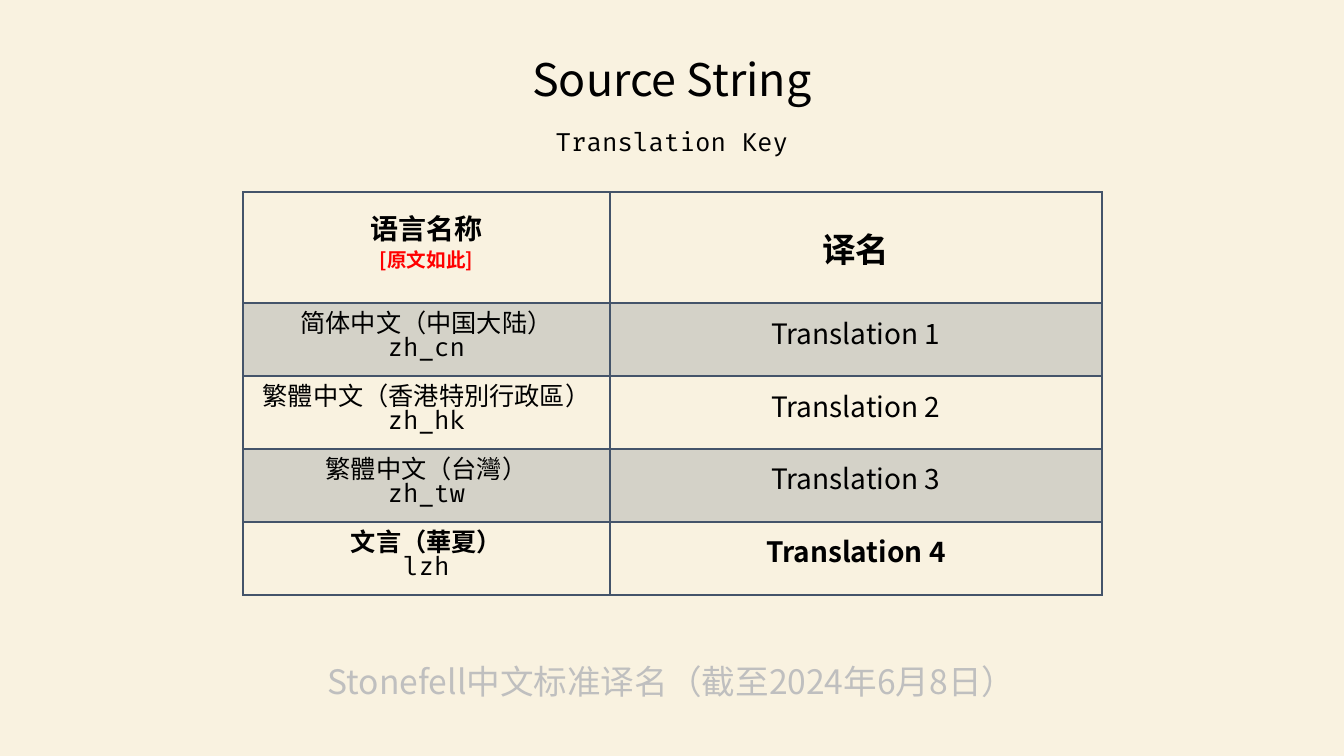
from dataclasses import dataclass

from pptx import Presentation
from pptx.dml.color import RGBColor
from pptx.enum.text import MSO_ANCHOR, MSO_AUTO_SIZE, PP_ALIGN
from pptx.oxml.ns import qn
from pptx.util import Emu, Pt
from lxml.etree import SubElement

EMU_PER_PX = 914400 / 100.8
SANS = "Noto Sans CJK SC"
SANS_JP = "Noto Sans CJK JP"
MONO = "Fira Code"
COLORS = {
    "background": "F9F2E0",
    "text": "000000",
    "note": "FF0000",
    "footer": "BFBFBF",
    "slate": "44546A",
}
COLUMN_WIDTHS = [367, 492]
HEADER_HEIGHT = 111
ROW_HEIGHT = 73


@dataclass
class Line:
    text: str
    size: int
    font: str = SANS
    color: str = "text"
    bold: bool = False
    spacing: int | None = 18


@dataclass
class Box:
    left: int
    top: int
    width: int
    height: int


@dataclass
class Language:
    name: str
    code: str
    translation: str
    bold: bool = False
    font: str = SANS


LANGUAGES = [
    Language("简体中文（中国大陆）", "zh_cn", "Translation 1"),
    Language("繁體中文（香港特別行政區）", "zh_hk", "Translation 2"),
    Language("繁體中文（台灣）", "zh_tw", "Translation 3"),
    Language("文言（華夏）", "lzh", "Translation 4", True, SANS_JP),
]


def px(value: int) -> Emu:
    return Emu(round(value * EMU_PER_PX))


def rgb(name: str) -> RGBColor:
    return RGBColor.from_string(COLORS[name])


def write(tf, lines: list[Line]) -> None:
    for i, line in enumerate(lines):
        p = tf.add_paragraph() if i else tf.paragraphs[0]
        p.alignment = PP_ALIGN.CENTER
        p.space_before = Pt(0)
        p.line_spacing = Pt(line.spacing) if line.spacing else 1.0
        r = p.add_run()
        r.text = line.text
        r.font.size = Pt(line.size)
        r.font.bold = line.bold
        r.font.color.rgb = rgb(line.color)
        r.font.name = line.font
        SubElement(r._r.get_or_add_rPr(), qn("a:ea")).set("typeface", line.font)


def place(sp, box: Box, line: Line, wrap: bool) -> None:
    sp.left, sp.top = px(box.left), px(box.top)
    sp.width, sp.height = px(box.width), px(box.height)
    tf = sp.text_frame
    tf.word_wrap = wrap
    tf.auto_size = MSO_AUTO_SIZE.NONE
    tf.vertical_anchor = MSO_ANCHOR.TOP
    write(tf, [line])


def add_borders(cell) -> None:
    tc_pr = cell._tc.get_or_add_tcPr()
    for side in ("lnL", "lnR", "lnT", "lnB"):
        ln = SubElement(tc_pr, qn(f"a:{side}"), w=str(Pt(1)))
        fill = SubElement(ln, qn("a:solidFill"))
        SubElement(fill, qn("a:srgbClr"), val=COLORS["slate"])


def fill_cell(cell, lines: list[Line], shaded: bool) -> None:
    write(cell.text_frame, lines)
    cell.vertical_anchor = MSO_ANCHOR.MIDDLE
    add_borders(cell)
    if shaded:
        cell.fill.solid()
        cell.fill.fore_color.rgb = rgb("slate")
        color = cell._tc.tcPr.find(f"{qn('a:solidFill')}/{qn('a:srgbClr')}")
        SubElement(color, qn("a:alpha"), val="20000")
    else:
        cell.fill.background()


def add_translation_table(s) -> None:
    height = HEADER_HEIGHT + ROW_HEIGHT * len(LANGUAGES)
    frame = s.shapes.add_table(
        len(LANGUAGES) + 1, len(COLUMN_WIDTHS),
        px(243), px(192), px(sum(COLUMN_WIDTHS)), px(height),
    )
    table = frame.table
    table.first_row = table.horz_banding = False
    for column, width in zip(table.columns, COLUMN_WIDTHS):
        column.width = px(width)
    for i, row in enumerate(table.rows):
        row.height = px(ROW_HEIGHT if i else HEADER_HEIGHT)

    names = [
        Line("语言名称", 20, bold=True),
        Line("[原文如此]", 14, color="note", bold=True),
    ]
    fill_cell(table.cell(0, 0), names, False)
    fill_cell(table.cell(0, 1), [Line("译名", 24, bold=True, spacing=None)], False)

    for i, lang in enumerate(LANGUAGES, start=1):
        contents = [
            [Line(lang.name, 18, bold=lang.bold), Line(lang.code, 18, MONO)],
            [Line(lang.translation, 20, lang.font, bold=lang.bold)],
        ]
        for j, lines in enumerate(contents):
            cell = table.cell(i, j)
            cell.margin_left = cell.margin_right = px(1)
            cell.margin_top = cell.margin_bottom = 0
            fill_cell(cell, lines, i % 2 == 1)


def main() -> None:
    prs = Presentation()
    prs.slide_width, prs.slide_height = px(1344), px(756)
    s = prs.slides.add_slide(prs.slide_layouts[0])
    s.background.fill.solid()
    s.background.fill.fore_color.rgb = rgb("background")

    footer = s.shapes.add_textbox(0, 0, 0, 0)
    place(
        footer, Box(291, 656, 761, 50),
        Line("Stonefell中文标准译名（截至2024年6月8日）", 24, color="footer", spacing=None),
        True,
    )
    add_translation_table(s)
    place(
        s.shapes.title, Box(509, 47, 326, 65),
        Line("Source String", 32, spacing=None), False,
    )
    place(
        s.placeholders[1], Box(544, 121, 256, 40),
        Line("Translation Key", 18, MONO, spacing=None), False,
    )
    prs.save("out.pptx")


if __name__ == "__main__":
    main()
